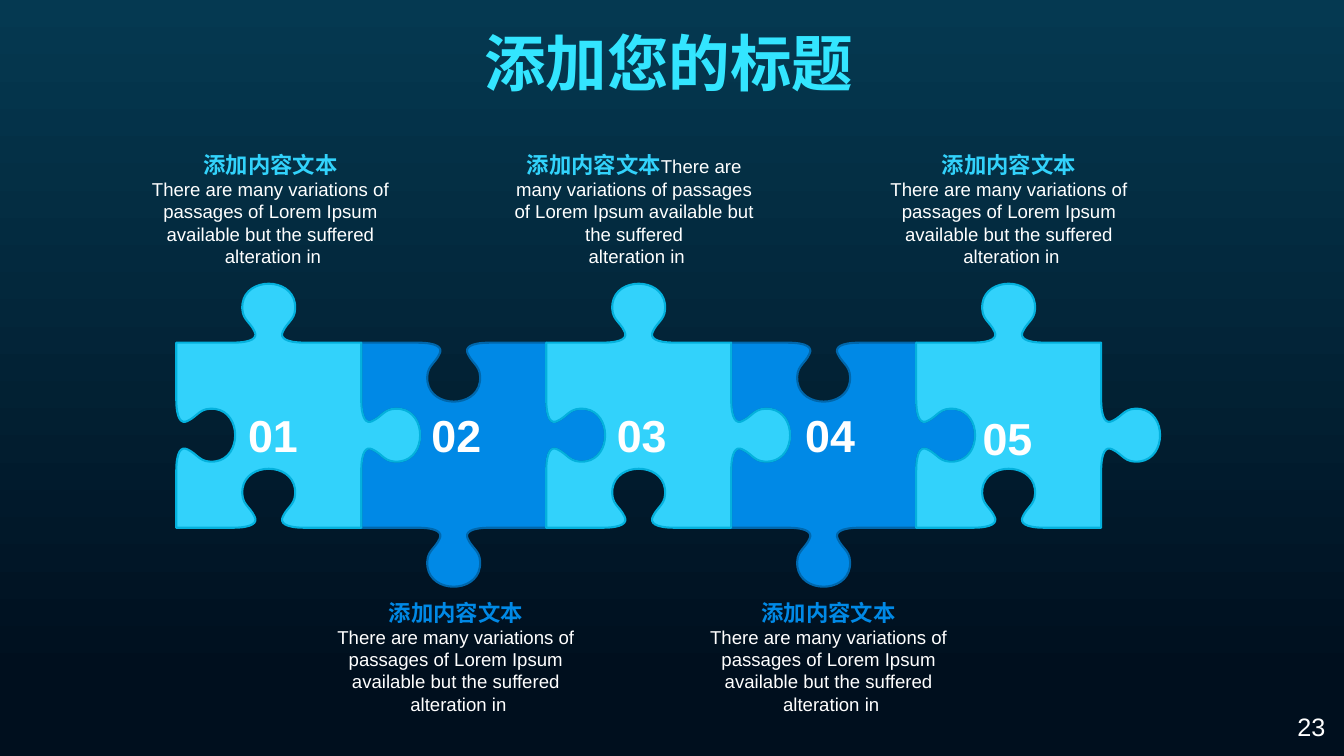
from pptx import Presentation
from pptx.dml.color import RGBColor
from pptx.enum.text import MSO_ANCHOR as Anchor, MSO_AUTO_SIZE as AutoSize, PP_ALIGN as Align
from pptx.oxml.ns import qn
from pptx.util import Inches, Pt

CYAN, CYAN_EDGE = "32D2FB", "04B1DD"
BLUE, BLUE_EDGE = "0089E6", "0067AC"
WHITE = "FFFFFF"

ROW_LEFT, ROW_TOP, ROW_WIDTH = 1.75, 3.4, 9.18
SIDE = ROW_WIDTH / 5

# Half of a knob as (distance from the side's middle, height) Bezier points
HALF_KNOB = [(-0.36, 0), (-0.16, 0), (-0.11, 0.05), (-0.14, 0.11),
             (-0.19, 0.22), (-0.28, 0.23), (-0.26, 0.39), (-0.22, 0.65)]
KNOB = HALF_KNOB + [(-along, height) for along, height in reversed(HALF_KNOB)]
SIDE_POINTS = [(SIDE / 2 + along, height) for along, height in KNOB] + [(SIDE, 0)]


def rgb(color):
    return RGBColor.from_string(color)


def add_run(paragraph, text, size, color, bold=False):
    run = paragraph.add_run()
    run.text = text
    run.font.name = "Arial"
    run.font.size = Pt(size)
    run.font.bold = bold
    run.font.color.rgb = rgb(color)


presentation = Presentation()
presentation.slide_width = Inches(13.34)
presentation.slide_height = Inches(7.5)
slide = presentation.slides.add_slide(presentation.slide_layouts[5])

background = slide.background.fill
background.gradient()
background.gradient_angle = 270
for stop, color, position in zip(background.gradient_stops, ("053951", "000F1E"), (0, 0.9)):
    stop.color.rgb = rgb(color)
    stop.position = position

title = slide.shapes.title
title.left, title.top = Inches(2.78), Inches(0.2)
title.width, title.height = Inches(7.72), Inches(0.84)
title.text_frame.vertical_anchor = Anchor.TOP
title.text_frame.auto_size = AutoSize.NONE
title.text_frame.paragraphs[0].alignment = Align.CENTER
add_run(title.text_frame.paragraphs[0], "添加您的标题", 44, "33E5FF", True)

# Puzzle pieces, from back to front
for index in (3, 4, 1, 0, 2):
    is_cyan = index % 2 == 0
    top_knob = 1 if is_cyan else -1
    left, right = ROW_LEFT + index * SIDE, ROW_LEFT + (index + 1) * SIDE
    bottom = ROW_TOP + SIDE
    outline = [(left + a, ROW_TOP - top_knob * h) for a, h in SIDE_POINTS]
    outline += [(right + h, ROW_TOP + a) for a, h in SIDE_POINTS]
    outline += [(right - a, bottom - top_knob * h) for a, h in SIDE_POINTS]
    outline += [(left + h, bottom - a) for a, h in SIDE_POINTS]
    builder = slide.shapes.build_freeform(Inches(left), Inches(ROW_TOP))
    builder.add_line_segments([(Inches(x), Inches(y)) for x, y in outline], close=True)
    piece = builder.convert_to_shape()

    # Join each three knob points into one cubic curve
    segments = list(piece.element.iter(qn("a:lnTo")))
    for side_start in range(0, len(segments), len(SIDE_POINTS)):
        for offset in range(1, len(KNOB), 3):
            first = side_start + offset
            curve = segments[first]
            curve.tag = qn("a:cubicBezTo")
            for segment in segments[first + 1:first + 3]:
                curve.append(segment[0])
                segment.getparent().remove(segment)

    piece.shadow.inherit = False
    piece.fill.solid()
    piece.fill.fore_color.rgb = rgb(CYAN if is_cyan else BLUE)
    piece.line.color.rgb = rgb(CYAN_EDGE if is_cyan else BLUE_EDGE)
    piece.line.width = Pt(1.5)

numbers = [("01", 2.46, 4.04), ("02", 4.28, 4.04), ("03", 6.12, 4.04),
           ("04", 7.99, 4.04), ("05", 9.75, 4.07)]
for number, left, top in numbers:
    box = slide.shapes.add_textbox(Inches(left), Inches(top), Inches(0.5), Inches(0.54))
    frame = box.text_frame
    frame.margin_left = frame.margin_right = frame.margin_top = frame.margin_bottom = 0
    frame.vertical_anchor = Anchor.BOTTOM
    frame.word_wrap = False
    frame.paragraphs[0].alignment = Align.CENTER
    add_run(frame.paragraphs[0], number, 32, WHITE, True)

# Captions: left, top, heading colour, whether the heading has its own line
captions = [(1.38, 1.45, CYAN, True), (3.22, 5.89, BLUE, True), (4.99, 1.45, CYAN, False),
            (6.92, 5.89, BLUE, True), (8.71, 1.45, CYAN, True)]
for left, top, color, own_line in captions:
    box = slide.shapes.add_textbox(Inches(left), Inches(top), Inches(2.61), Inches(1.27))
    frame = box.text_frame
    frame.word_wrap = True
    frame.auto_size = AutoSize.SHAPE_TO_FIT_TEXT
    heading = frame.paragraphs[0]
    add_run(heading, "添加内容文本", 16, color, True)
    body = frame.add_paragraph() if own_line else heading
    add_run(body, "There are many variations of passages of Lorem Ipsum available but the suffered",
            13.3, WHITE)
    body.add_line_break()
    add_run(body, " alteration in", 13.3, WHITE)
    for paragraph in frame.paragraphs:
        paragraph.alignment = Align.CENTER

page_number = slide.shapes.add_textbox(Inches(12.78), Inches(7.01), Inches(0.56), Inches(0.4))
page_number.text_frame.word_wrap = True
add_run(page_number.text_frame.paragraphs[0], "23", 18, WHITE)

presentation.save("out.pptx")
